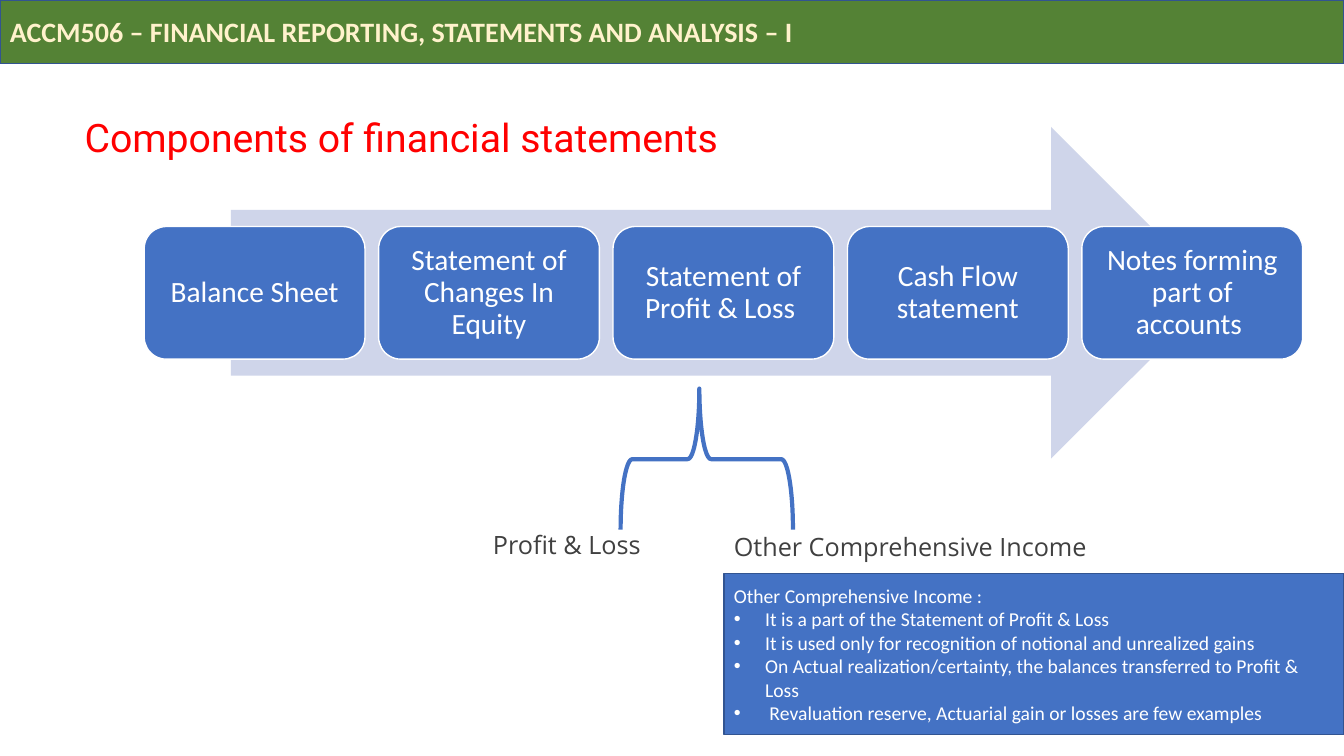
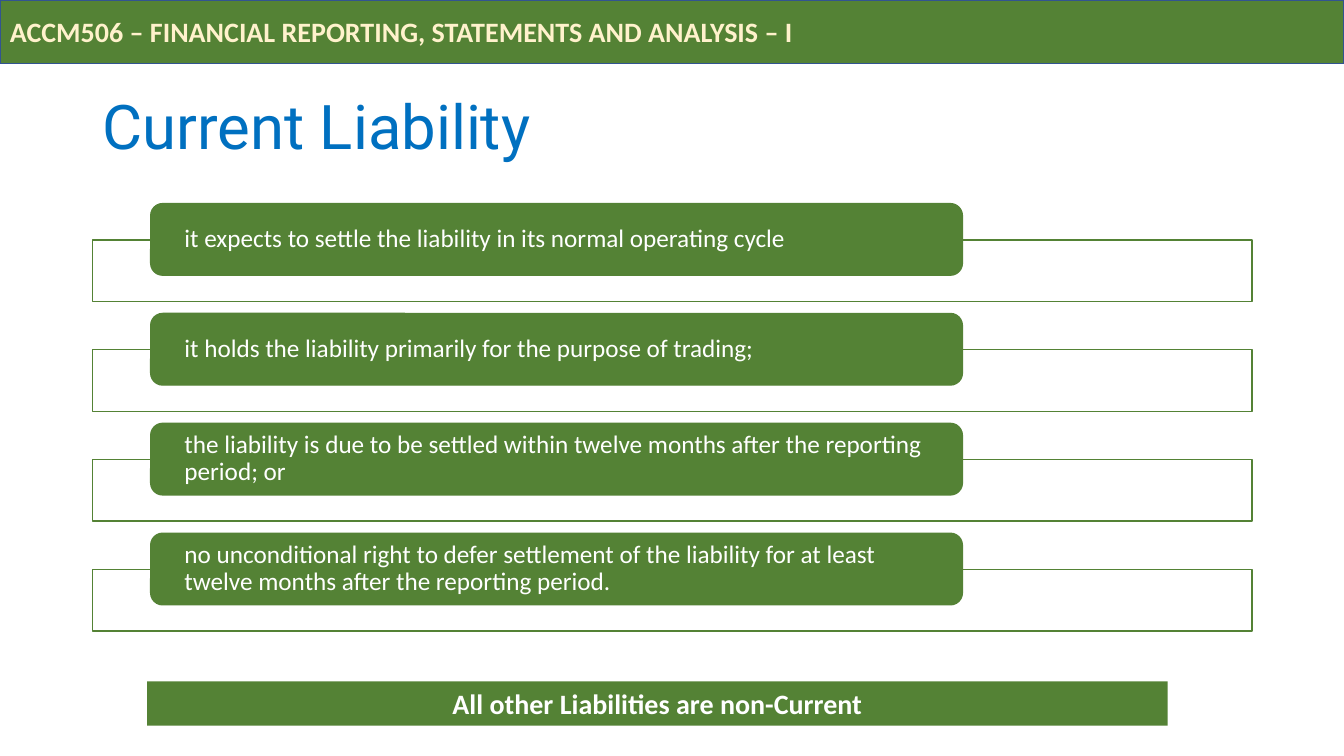
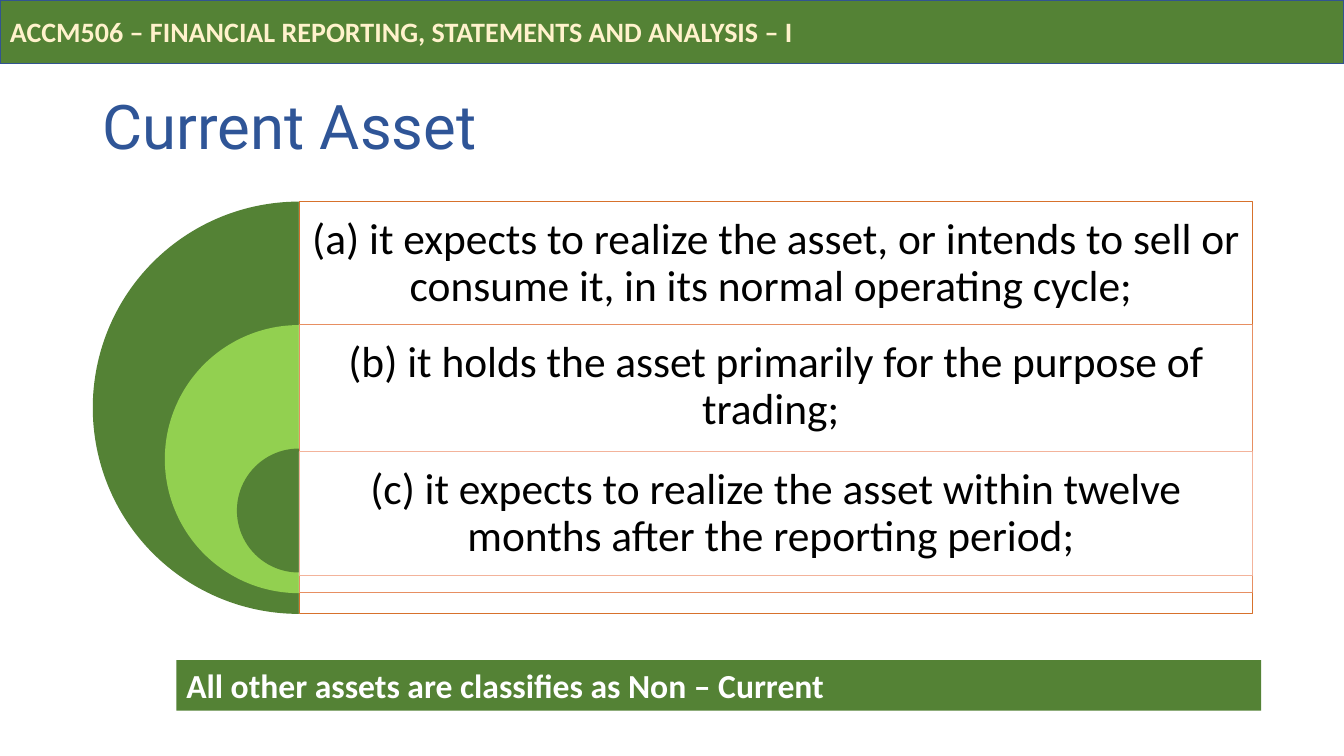
from collections import namedtuple

from lxml.etree import SubElement
from pptx import Presentation
from pptx.dml.color import RGBColor
from pptx.enum.shapes import MSO_SHAPE
from pptx.enum.text import MSO_ANCHOR, PP_ALIGN
from pptx.oxml.ns import qn
from pptx.util import Inches, Pt

Box = namedtuple("Box", "left top width height")

CELL = Inches(1)
COLUMNS, ROWS = 13.33, 7.5
COLORS = {
    "green": "548235", "lime": "92D050", "cream": "FFF2CC", "white": "FFFFFF",
    "black": "000000", "grey": "404040", "red": "FF0000", "sky": "0070C0",
    "navy": "2F5597", "blue": "4472C4", "edge": "325491", "pale": "CFD5EA",
    "rust": "D7712C", "coral": "E78F62", "peach": "F3B39B",
}
COURSE = "ACCM506 – FINANCIAL REPORTING, STATEMENTS AND ANALYSIS – I"
BAND = Box(0, 0, COLUMNS, 0.63)
TITLE = Box(0.92, 0.74, 11.5, 1.1)


def rgb(name):
    return RGBColor.from_string(COLORS[name])


def cells(box):
    return [round(length * CELL) for length in box]


def write(holder, *lines, size=18, font="Calibri", color="white", bold=False,
          align=PP_ALIGN.LEFT, anchor=MSO_ANCHOR.MIDDLE, spacing=1.0,
          inset=(0.1, 0.05), bullets_from=None, hang=0.31):
    frame = holder.text_frame
    frame.word_wrap = True
    frame.vertical_anchor = anchor
    frame.margin_left = frame.margin_right = Inches(inset[0])
    frame.margin_top = frame.margin_bottom = Inches(inset[1])
    for index, line in enumerate(lines):
        paragraph = frame.paragraphs[0] if index == 0 else frame.add_paragraph()
        paragraph.alignment = align
        paragraph.line_spacing = spacing
        run = paragraph.add_run()
        run.text = line
        run.font.size = Pt(size)
        run.font.name = font
        run.font.bold = bold
        run.font.color.rgb = rgb(color)
        if bullets_from is not None and index >= bullets_from:
            properties = paragraph._p.get_or_add_pPr()
            properties.set("marL", str(Inches(hang)))
            properties.set("indent", str(-Inches(hang)))
            SubElement(properties, qn("a:buFont"), typeface="Arial")
            SubElement(properties, qn("a:buChar"), char="•")


def draw(slide, kind, box, fill=None, line=None, weight=1, opacity=None, adjust=()):
    shape = slide.shapes.add_shape(kind, *cells(box))
    shape.shadow.inherit = False
    if fill:
        shape.fill.solid()
        shape.fill.fore_color.rgb = rgb(fill)
    else:
        shape.fill.background()
    if opacity:
        tint = shape._element.spPr.find(qn("a:solidFill"))[0]
        SubElement(tint, qn("a:alpha"), val=str(opacity * 1000))
    if line:
        shape.line.color.rgb = rgb(line)
        shape.line.width = Pt(weight)
    else:
        shape.line.fill.background()
    for index, value in enumerate(adjust):
        shape.adjustments[index] = value
    return shape


def label(slide, box, text, **format):
    write(slide.shapes.add_textbox(*cells(box)), text, **format)


def start_slide(deck):
    slide = deck.slides.add_slide(deck.slide_layouts[6])
    band = draw(slide, MSO_SHAPE.RECTANGLE, BAND, "green", "edge")
    write(band, COURSE, size=20, color="cream", bold=True)
    return slide


def add_title(slide, text, color):
    label(slide, TITLE, text, size=44, font="Roboto", color=color, spacing=0.9)


def add_conclusion(slide, box, text, **format):
    strip = draw(slide, MSO_SHAPE.RECTANGLE, box, "green")
    write(strip, text, bold=True, anchor=MSO_ANCHOR.TOP, **format)


def add_statement_arrow(slide, box, statements):
    arrow = Box(box.left + 0.86, box.top, 9.78, box.height)
    draw(slide, MSO_SHAPE.RIGHT_ARROW, arrow, "pale")
    card_width, card_height = 2.19, box.height * 0.4
    step = (box.width - card_width) / (len(statements) - 1)
    for index, statement in enumerate(statements):
        place = Box(box.left + index * step, box.top + box.height * 0.3,
                    card_width, card_height)
        card = draw(slide, MSO_SHAPE.ROUNDED_RECTANGLE, place, "blue", "white")
        write(card, statement, size=21, align=PP_ALIGN.CENTER, spacing=0.9,
              inset=(0.09, 0.09))


def add_income_split(slide, box):
    brace = draw(slide, MSO_SHAPE.RIGHT_BRACE,
                 Box(box.left + 1.52, box.top, 1.4, 1.71),
                 line="blue", weight=3, adjust=(0.083, 0.457))
    brace.rotation = 270
    branches = (("Profit & Loss", 0, 1.5, 2.02),
                ("Other Comprehensive Income", 2.39, 1.52, 4.26))
    for name, across, down, width in branches:
        label(slide, Box(box.left + across, box.top + down, width, 0.4), name,
              font="Open Sans", color="grey", anchor=MSO_ANCHOR.TOP)
    note = draw(slide, MSO_SHAPE.RECTANGLE,
                Box(box.left + 2.39, box.top + 1.99, box.width - 2.39, 1.6),
                "blue", "edge")
    write(note, "Other Comprehensive Income : ",
          "It is a part of the Statement of Profit & Loss ",
          "It is used only for recognition of notional and unrealized gains ",
          "On Actual realization/certainty, the balances transferred to Profit & Loss",
          " Revaluation reserve, Actuarial gain or losses are few examples",
          size=14, bullets_from=1)


def add_criteria_list(slide, box, criteria):
    step = 1.09
    for index, criterion in enumerate(criteria):
        top = box.top + index * step
        draw(slide, MSO_SHAPE.RECTANGLE, Box(box.left, top + 0.36, box.width, 0.61),
             "white", "green", opacity=90)
        tab = draw(slide, MSO_SHAPE.ROUNDED_RECTANGLE,
                   Box(box.left + box.width * 0.05, top, box.width * 0.7, 0.71),
                   "green", "green")
        write(tab, criterion, spacing=0.9, inset=(0.3, 0))


def add_nested_targets(slide, box, criteria):
    axis = box.left + box.height / 2
    pane_width = box.left + box.width - axis
    ring_step, shrink = 1.225, 1.43
    for index, (criterion, color, edge, pane_top) in enumerate(criteria):
        size = box.height - index * shrink
        ring = Box(axis - size / 2, box.top + index * ring_step, size, size)
        draw(slide, MSO_SHAPE.PIE, ring, color, adjust=(54, 162))
        pane = Box(axis, pane_top, pane_width, size)
        draw(slide, MSO_SHAPE.RECTANGLE, pane, "white", edge, 0.5, opacity=90)
        label(slide, pane._replace(height=1.23), criterion, size=31, color="black",
              align=PP_ALIGN.CENTER, spacing=0.9, inset=(0.13, 0.13))


def build_components(deck):
    slide = start_slide(deck)
    add_statement_arrow(slide, Box(1.43, 1.26, 11.49, 3.29), (
        "Balance Sheet", "Statement of Changes In Equity",
        "Statement of Profit & Loss\u00a0", "Cash Flow statement",
        "Notes forming part of accounts\u00a0"))
    add_income_split(slide, Box(4.79, 3.7, COLUMNS - 4.79, 3.59))
    label(slide, Box(0.74, 1.08, 8.82, 0.57), "Components of financial statements",
          size=28, font="Roboto", color="red", anchor=MSO_ANCHOR.TOP)


def build_liability(deck):
    slide = start_slide(deck)
    add_title(slide, "Current Liability ", "sky")
    add_criteria_list(slide, Box(0.92, 2.02, 11.5, 4.24), (
        "it expects to settle the liability in its normal operating cycle",
        "it holds the liability primarily for the purpose of trading; ",
        "the liability is due to be settled within twelve months after "
        "the reporting period; or ",
        "no unconditional right to defer settlement of the liability for "
        "at least twelve months after the reporting period. "))
    add_conclusion(slide, Box(1.46, 6.76, 10.12, 0.44),
                   "All other Liabilities are non-Current",
                   size=20, align=PP_ALIGN.CENTER)


def build_asset(deck):
    slide = start_slide(deck)
    add_title(slide, "Current Asset", "navy")
    add_nested_targets(slide, Box(0.92, 2, 11.5, 4.09), (
        ("(a) it expects to realize the asset, or intends to sell or consume it, "
         "in its normal operating cycle; ", "green", "rust", 2),
        ("(b) it holds the asset primarily for the purpose of trading; ",
         "lime", "coral", 3.22),
        ("(c) it expects to realize the asset within twelve months after "
         "the reporting period; ", "green", "peach", 4.48)))
    add_conclusion(slide, Box(1.75, 6.55, 10.76, 0.5),
                   "All other assets are classifies as Non – Current", size=24)


deck = Presentation()
deck.slide_width, deck.slide_height = cells((COLUMNS, ROWS))
for build in (build_components, build_liability, build_asset):
    build(deck)
deck.save("out.pptx")
